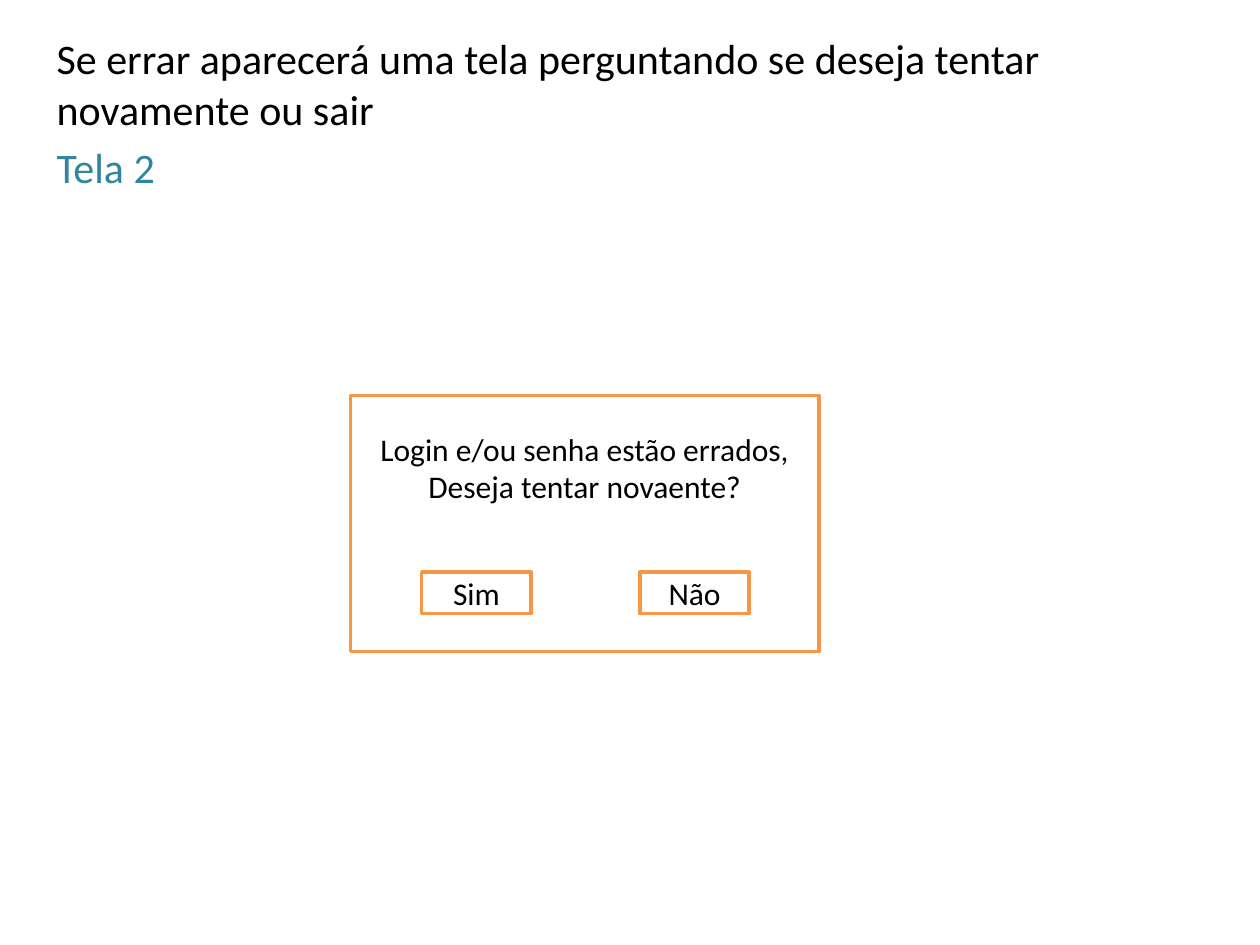
from pptx import Presentation
from pptx.dml.color import RGBColor
from pptx.enum.shapes import MSO_SHAPE
from pptx.enum.text import MSO_ANCHOR, PP_ALIGN
from pptx.oxml.ns import qn
from pptx.util import Pt

RECTANGLE = MSO_SHAPE.RECTANGLE
MIDDLE = MSO_ANCHOR.MIDDLE
CENTER = PP_ALIGN.CENTER

BLACK = RGBColor(0x00, 0x00, 0x00)
WHITE = RGBColor(0xFF, 0xFF, 0xFF)
TEAL = RGBColor(0x31, 0x85, 0x9C)
ORANGE = RGBColor(0xF7, 0x96, 0x46)
FONT = "Calibri"


def format_paragraph(paragraph, size, color=BLACK, alignment=None):
    paragraph.alignment = alignment
    for run in paragraph.runs:
        run.font.name = FONT
        run.font.size = Pt(size)
        run.font.color.rgb = color


def place(shape, left, top, width, height):
    shape.left, shape.top = Pt(left), Pt(top)
    shape.width, shape.height = Pt(width), Pt(height)


def fill_description(body, left, top, width, height):
    """Write the screen's description in the body placeholder, without bullets."""
    place(body, left, top, width, height)
    text_frame = body.text_frame
    text_frame.text = (
        "Se errar aparecerá uma tela perguntando se deseja tentar novamente ou sair\n"
        "Tela 2"
    )
    for paragraph, color in zip(text_frame.paragraphs, (BLACK, TEAL)):
        format_paragraph(paragraph, 24, color)
        properties = paragraph._p.get_or_add_pPr()
        properties.set("marL", "0")
        properties.set("indent", "0")
        properties.append(properties.makeelement(qn("a:buNone"), {}))


def add_outlined_box(slide, left, top, width, height):
    box = slide.shapes.add_shape(RECTANGLE, Pt(left), Pt(top), Pt(width), Pt(height))
    box.shadow.inherit = False
    box.fill.solid()
    box.fill.fore_color.rgb = WHITE
    box.line.color.rgb = ORANGE
    box.line.width = Pt(2)
    return box


def add_button(slide, label, left, top, width, height):
    button = add_outlined_box(slide, left, top, width, height)
    button.text_frame.text = label
    button.text_frame.vertical_anchor = MIDDLE
    format_paragraph(button.text_frame.paragraphs[0], 18, alignment=CENTER)


def add_message(slide, left, top, width, height):
    message = slide.shapes.add_textbox(Pt(left), Pt(top), Pt(width), Pt(height))
    message.text_frame.word_wrap = False
    message.text_frame.text = "Login e/ou senha estão errados,\nDeseja tentar novaente?"
    for paragraph in message.text_frame.paragraphs:
        format_paragraph(paragraph, 18, alignment=CENTER)


def add_login_error_dialog(slide, left, top, width, height):
    add_outlined_box(slide, left, top, width, height)
    message_margin = 8.6
    add_message(slide, left + message_margin, top + 15.8, width - 2 * message_margin, 72.7)
    button_width, button_pitch = 62.6, 124.6
    first_left = left + (width - button_width - button_pitch) / 2 + 0.5
    for index, label in enumerate(("Sim", "Não")):
        add_button(slide, label, first_left + index * button_pitch, top + 100.8,
                   button_width, 23.8)


def main():
    presentation = Presentation()
    presentation.slide_width, presentation.slide_height = Pt(720), Pt(540)
    slide = presentation.slides.add_slide(presentation.slide_layouts.get_by_name("Title and Content"))
    title = slide.shapes.title
    title.element.getparent().remove(title.element)
    fill_description(slide.placeholders[1], 25.2, 15.1, 648, 118.8)
    add_login_error_dialog(slide, 200.2, 226.1, 267.8, 146.2)
    presentation.save("out.pptx")


if __name__ == "__main__":
    main()
